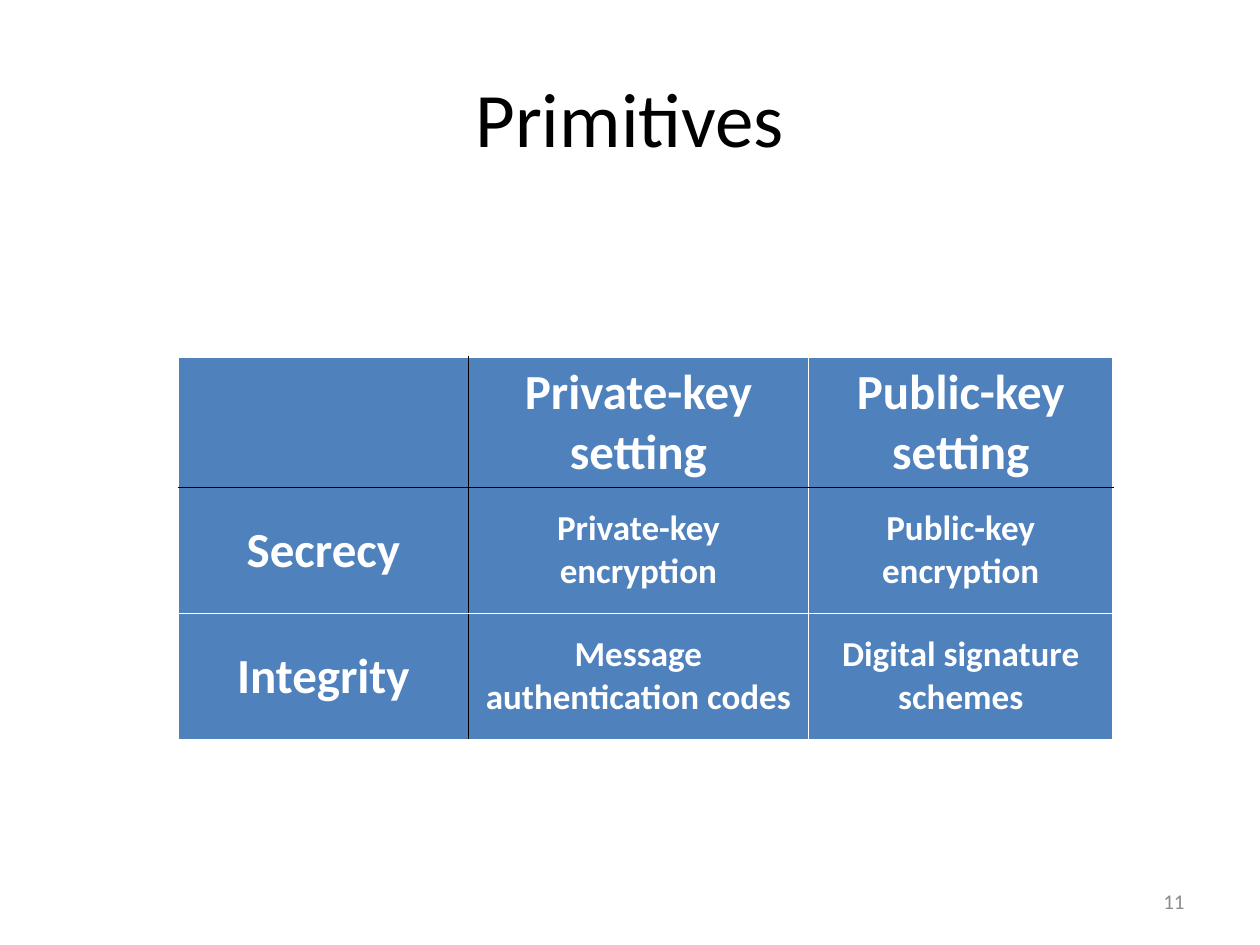
from dataclasses import dataclass

from lxml import etree
from pptx import Presentation
from pptx import util as u
from pptx.dml.color import RGBColor
from pptx.enum import text
from pptx.oxml import ns

Pt = u.Pt


@dataclass
class Theme:
    font: str = "Calibri"
    ink: str = "000000"
    paper: str = "FFFFFF"
    fill: str = "4F81BD"
    gray: str = "8C8C8C"
    title: int = 44
    head: int = 28
    body: int = 20
    small: int = 12


class Page:
    def __init__(self, deck, theme):
        self.theme = theme
        self.slide = deck.slides.add_slide(deck.slide_layouts[5])

    def label(self, frame, words, size, color, align, bold=False):
        frame.text = words
        frame.word_wrap = True
        para = frame.paragraphs[0]
        para.alignment = align
        font = para.runs[0].font
        font.name, font.size, font.bold = self.theme.font, Pt(size), bold
        font.color.rgb = RGBColor.from_string(color)

    def title(self, words, box):
        shape = self.slide.shapes.title
        shape.left, shape.top, shape.width, shape.height = map(Pt, box)
        shape.text_frame.vertical_anchor = text.MSO_ANCHOR.MIDDLE
        self.label(shape.text_frame, words, self.theme.title, self.theme.ink,
                   text.PP_ALIGN.CENTER)

    def number(self, words, box):
        frame = self.slide.shapes.add_textbox(*map(Pt, box)).text_frame
        frame.vertical_anchor = text.MSO_ANCHOR.MIDDLE
        self.label(frame, words, self.theme.small, self.theme.gray,
                   text.PP_ALIGN.RIGHT)

    def border(self, cell, side, color):
        props = cell._tc.get_or_add_tcPr()
        line = etree.SubElement(props, ns.qn("a:ln" + side), w=str(Pt(1)))
        solid = etree.SubElement(line, ns.qn("a:solidFill"))
        etree.SubElement(solid, ns.qn("a:srgbClr"), val=color)

    def grid(self, rows, left, top, widths, height):
        t = self.theme
        frame = self.slide.shapes.add_table(
            len(rows), len(widths), Pt(left), Pt(top),
            Pt(sum(widths)), Pt(height * len(rows)))
        table = frame.table
        for col, width in zip(table.columns, widths):
            col.width = Pt(width)
        for r, row in enumerate(rows):
            table.rows[r].height = Pt(height)
            for c, words in enumerate(row):
                cell = table.cell(r, c)
                # Dark rules part the headings from the body
                dark = {"L": c == 1, "R": c == 0, "T": r == 1, "B": r == 0}
                for side, on in dark.items():
                    self.border(cell, side, t.ink if on else t.paper)
                cell.fill.solid()
                cell.fill.fore_color.rgb = RGBColor.from_string(t.fill)
                cell.vertical_anchor = text.MSO_ANCHOR.MIDDLE
                if words:
                    size = t.body if r and c else t.head
                    self.label(cell.text_frame, words, size, t.paper,
                               text.PP_ALIGN.CENTER, True)


def main():
    deck = Presentation()
    deck.slide_width, deck.slide_height = Pt(720), Pt(540)
    page = Page(deck, Theme())

    # Title and slide number
    page.title("Primitives", (36, 21.6, 648, 90))
    page.number("11", (516, 500.5, 168, 28.8))

    # Goals against key settings
    rows = [
        ("", "Private-key setting", "Public-key setting"),
        ("Secrecy", "Private-key encryption", "Public-key encryption"),
        ("Integrity", "Message authentication codes",
         "Digital signature schemes"),
    ]
    page.grid(rows, 102, 204, (165.6, 194.4, 174), 72)

    deck.save("out.pptx")


if __name__ == "__main__":
    main()
